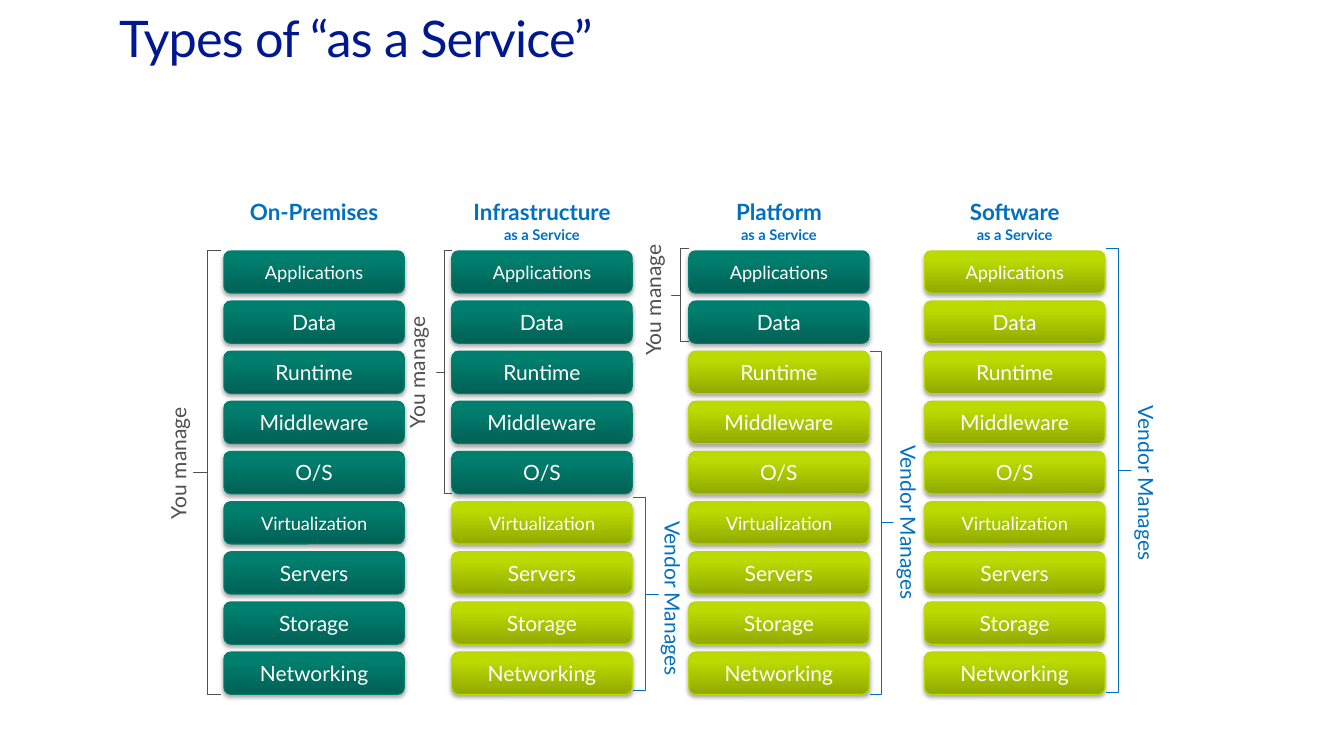
from dataclasses import dataclass

from pptx import Presentation
from pptx.dml.color import RGBColor
from pptx.enum.shapes import MSO_SHAPE as Shape
from pptx.enum.text import MSO_ANCHOR as Anchor, MSO_AUTO_SIZE as AutoSize, PP_ALIGN as Align
from pptx.oxml import parse_xml
from pptx.oxml.ns import nsdecls
from pptx.util import Cm, Pt


@dataclass(frozen=True)
class Tone:
    stops: tuple  # (position in percent, colour), from bottom to top
    line: str


@dataclass(frozen=True)
class Theme:
    font: str = "Lato"
    title: str = "00188F"
    vendor: str = "0070C0"
    you: str = "505050"
    white: str = "FFFFFF"
    teal: Tone = Tone(((0, "006155"), (80, "007E6E"), (100, "007F6F")), "007F6F")
    lime: Tone = Tone(((0, "90A900"), (80, "BBDB00"), (100, "BCDC00")), "B9D805")
    title_size: float = 36
    head_size: float = 16
    subhead_size: float = 10.5
    text_size: float = 15
    small_size: float = 13
    line_width: float = 0.75


LAYERS = ["Applications", "Data", "Runtime", "Middleware", "O/S",
          "Virtualization", "Servers", "Storage", "Networking"]
SMALL_LAYERS = {"Applications", "Virtualization"}

BOX_W, BOX_H = 4.55, 1.07
ROW_TOP, ROW_PITCH = 6.32, 10.11 / 8
HEAD_TOP = 4.88


@dataclass(frozen=True)
class Span:
    """A brace and its label; rise lifts the brace above its first row."""
    left: float
    width: float
    label_left: float
    label_top: float
    rise: float = 0


@dataclass(frozen=True)
class Column:
    left: float
    head: list
    head_width: float
    managed: int  # number of layers, from the top, that you manage
    you: Span = None
    vendor: Span = None


COLUMNS = [
    Column(11.38, ["Infrastructure", "as a Service"], 4.19, 5,
           you=Span(11, 0.38, 10.06, 7.87),
           vendor=Span(15.95, 0.64, 16.26, 12.88, rise=0.1)),
    Column(17.35, ["Platform", "as a Service"], 2.87, 2,
           you=Span(16.92, 0.43, 16, 6.05, rise=0.05),
           vendor=Span(21.92, 0.58, 22.2, 10.97)),
    Column(5.64, ["On-Premises"], 3.89, 9, you=Span(4.88, 0.69, 4.04, 10.16)),
    Column(23.29, ["Software", "as a Service"], 2.92, 0,
           vendor=Span(27.86, 0.64, 28.19, 9.98, rise=0.05)),
]


class Painter:
    def __init__(self, slide, theme):
        self.slide, self.theme = slide, theme
        self.shapes = slide.shapes

    def start_group(self):
        """Send the shapes that follow into a new group."""
        self.shapes = self.slide.shapes.add_group_shape().shapes

    def font(self, p, size, color, bold=False):
        f = p.font
        f.name, f.size, f.bold = self.theme.font, Pt(size), bold
        f.color.rgb = RGBColor.from_string(color)

    def outline(self, s, color):
        s.line.color.rgb = RGBColor.from_string(color)
        s.line.width = Pt(self.theme.line_width)

    def title(self, text):
        s = self.slide.shapes.title
        s.left, s.top, s.width, s.height = Cm(2.11), Cm(0), Cm(31.75), Cm(1.8)
        tf = s.text_frame
        tf.text = text
        tf.auto_size, tf.vertical_anchor = AutoSize.NONE, Anchor.MIDDLE
        tf.margin_left, tf.margin_top = Cm(0.89), Cm(0.43)
        tf.margin_right = tf.margin_bottom = Cm(0.15)
        p = tf.paragraphs[0]
        p.alignment, p.line_spacing = Align.LEFT, 0.9
        self.font(p, self.theme.title_size, self.theme.title)
        p.runs[0].font._element.set("spc", "-60")

    def text_box(self, left, top, width, height, lines):
        s = self.shapes.add_textbox(Cm(left), Cm(top), Cm(width), Cm(height))
        tf = s.text_frame
        tf.text = "\n".join(lines)
        tf.word_wrap, tf.auto_size = False, AutoSize.SHAPE_TO_FIT_TEXT
        return tf

    def heading(self, column):
        left = column.left + (BOX_W - column.head_width) / 2
        height = 0.94 if len(column.head) == 1 else 1.4
        tf = self.text_box(left, HEAD_TOP, column.head_width, height, column.head)
        sizes = (self.theme.head_size, self.theme.subhead_size)
        for p, size in zip(tf.paragraphs, sizes):
            p.alignment = Align.CENTER
            self.font(p, size, self.theme.vendor, bold=True)

    def layer(self, left, row, name, tone):
        s = self.shapes.add_shape(Shape.ROUNDED_RECTANGLE, Cm(left),
                                  Cm(ROW_TOP + row * ROW_PITCH), Cm(BOX_W), Cm(BOX_H))
        self.gradient(s, tone)
        self.outline(s, tone.line)
        self.soft_shadow(s)
        tf = s.text_frame
        tf.text, tf.vertical_anchor = name, Anchor.MIDDLE
        p = tf.paragraphs[0]
        p.alignment = Align.CENTER
        t = self.theme
        self.font(p, t.small_size if name in SMALL_LAYERS else t.text_size, t.white)

    def gradient(self, s, tone):
        stops = "".join(f'<a:gs pos="{pos * 1000}"><a:srgbClr val="{color}"/></a:gs>'
                        for pos, color in tone.stops)
        s._element.spPr.insert(2, parse_xml(
            f'<a:gradFill {nsdecls("a")} rotWithShape="1"><a:gsLst>{stops}</a:gsLst>'
            '<a:lin ang="16200000" scaled="0"/></a:gradFill>'))

    def soft_shadow(self, s):
        s._element.spPr.append(parse_xml(
            f'<a:effectLst {nsdecls("a")}>'
            '<a:outerShdw blurRad="40000" dist="23000" dir="5400000" rotWithShape="0">'
            '<a:srgbClr val="000000"><a:alpha val="35000"/></a:srgbClr>'
            '</a:outerShdw></a:effectLst>'))

    def brace(self, span, first, last, color, flip):
        height = (last - first) * ROW_PITCH + BOX_H
        s = self.shapes.add_shape(Shape.LEFT_BRACE, Cm(span.left),
                                  Cm(ROW_TOP + first * ROW_PITCH - span.rise),
                                  Cm(span.width), Cm(height))
        s.adjustments[0], s.adjustments[1] = 0, 0.5
        s.shadow.inherit = False
        s.fill.background()
        self.outline(s, color)
        if flip:
            s._element.spPr.xfrm.set("flipH", "1")

    def side_label(self, span, text, length, color, direction):
        tf = self.text_box(span.label_left, span.label_top, 1.14, length, [text])
        tf._txBody.bodyPr.set("vert", direction)
        self.font(tf.paragraphs[0], self.theme.text_size, color)

    def column(self, column):
        t = self.theme
        self.start_group()
        for row, name in enumerate(LAYERS):
            self.layer(column.left, row, name, t.teal if row < column.managed else t.lime)
        self.heading(column)
        if column.you:
            self.brace(column.you, 0, column.managed - 1, t.you, flip=False)
            self.side_label(column.you, "You manage", 3.17, t.you, "vert270")
        if column.vendor:
            self.brace(column.vendor, column.managed, len(LAYERS) - 1, t.vendor, flip=True)
            self.side_label(column.vendor, "Vendor Manages", 4.24, t.vendor, "eaVert")


def main():
    prs = Presentation()
    prs.slide_width, prs.slide_height = Cm(33.86), Cm(19.05)
    painter = Painter(prs.slides.add_slide(prs.slide_layouts[5]), Theme())
    painter.title("Types of “as a Service”")
    for column in COLUMNS:
        painter.column(column)
    prs.save("out.pptx")


if __name__ == "__main__":
    main()
